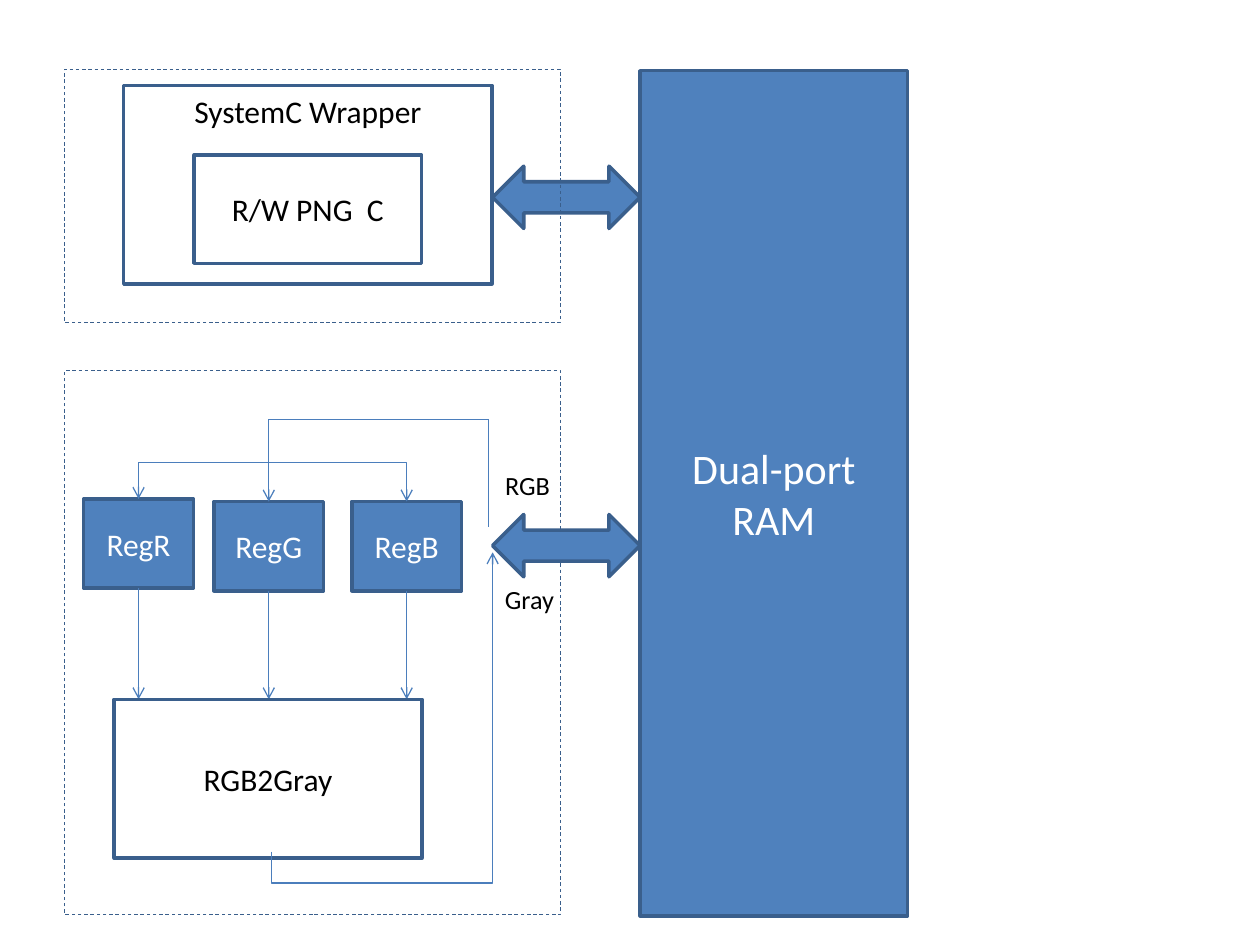
from pptx import Presentation
from pptx.dml.color import RGBColor
from pptx.enum.dml import MSO_LINE
from pptx.enum.shapes import MSO_CONNECTOR, MSO_SHAPE
from pptx.enum.text import MSO_ANCHOR, PP_ALIGN
from pptx.oxml.ns import qn
from pptx.util import Pt
from lxml.etree import SubElement

COLORS = {"block": "4F81BD", "border": "3A5F8C", "wire": "4B7EBC",
          "light": "FFFFFF", "dark": "000000"}


class Diagram:
    font = "Calibri"

    def __init__(self, slide):
        self.slide = slide

    def color(self, name):
        return RGBColor.from_string(COLORS[name])

    def set_text(self, frame, text, size, color, align):
        frame.text = text
        paragraph = frame.paragraphs[0]
        paragraph.alignment = align
        paragraph.font.name = self.font
        paragraph.font.size = Pt(size)
        paragraph.font.color.rgb = self.color(color)

    def block(self, left, top, width, height, text="", filled=False, size=18,
              anchor=MSO_ANCHOR.MIDDLE, kind=MSO_SHAPE.RECTANGLE):
        shape = self.slide.shapes.add_shape(
            kind, Pt(left), Pt(top), Pt(width), Pt(height))
        shape.shadow.inherit = False
        if filled:
            shape.fill.solid()
            shape.fill.fore_color.rgb = self.color("block")
        else:
            shape.fill.background()
        shape.line.color.rgb = self.color("border")
        shape.line.width = Pt(2)
        if text:
            shape.text_frame.vertical_anchor = anchor
            self.set_text(shape.text_frame, text, size,
                          "light" if filled else "dark", PP_ALIGN.CENTER)
        return shape

    def group_frame(self, left, top, width, height):
        frame = self.block(left, top, width, height)
        frame.line.width = Pt(0.5)
        frame.line.dash_style = MSO_LINE.DASH

    def bus(self, left, top, width, height):
        self.block(left, top, width, height, filled=True,
                   kind=MSO_SHAPE.LEFT_RIGHT_ARROW)

    def label(self, left, top, width, height, text):
        box = self.slide.shapes.add_textbox(
            Pt(left), Pt(top), Pt(width), Pt(height))
        box.text_frame.word_wrap = False
        self.set_text(box.text_frame, text, 15, "dark", PP_ALIGN.LEFT)

    def wire(self, x1, y1, x2, y2, arrow=True, preset="line"):
        connector = self.slide.shapes.add_connector(
            MSO_CONNECTOR.STRAIGHT, Pt(x1), Pt(y1), Pt(x2), Pt(y2))
        connector.line.color.rgb = self.color("wire")
        connector.line.width = Pt(0.75)
        properties = connector._element.spPr
        properties.find(qn("a:prstGeom")).set("prst", preset)
        if arrow:
            SubElement(properties.find(qn("a:ln")), qn("a:tailEnd"), type="arrow")
        SubElement(properties, qn("a:effectLst"))
        return connector

    def corner(self, x1, y1, x2, y2):
        self.wire(x1, y1, x2, y2, preset="bentConnector2")

    def loop_up(self, x1, y1, x2, y2, overshoot):
        center_x, center_y = (x1 + x2) / 2, (y1 + y2) / 2
        half_run, half_rise = (x2 - x1) / 2, (y1 - y2) / 2
        connector = self.wire(center_x - half_rise, center_y - half_run,
                              center_x + half_rise, center_y + half_run,
                              preset="bentConnector3")
        properties = connector._element.spPr
        properties.find(qn("a:xfrm")).set("rot", str(270 * 60000))
        geometry = properties.find(qn("a:prstGeom"))
        guides = geometry.find(qn("a:avLst"))
        if guides is None:
            guides = SubElement(geometry, qn("a:avLst"))
        ratio = round(-overshoot / (y1 - y2) * 100000)
        SubElement(guides, qn("a:gd"), name="adj1", fmla=f"val {ratio}")


presentation = Presentation()
presentation.slide_width = Pt(720)
presentation.slide_height = Pt(540)
diagram = Diagram(presentation.slides.add_slide(presentation.slide_layouts[6]))

REG_WIDTH, REG_HEIGHT = 62.8, 51
GRAY_TOP = 399.6
PORT_X, RAM_X = 281.5, 365.8
SPLIT_X, SPLIT_Y = 153.6, 264.2
FEED_X, FEED_Y = 279.2, 239.8
registers = [("RegR", 79.2, 285.1), ("RegB", 232.4, 286.6), ("RegG", SPLIT_X, 286.6)]

for name, center, top in registers:
    diagram.block(center - REG_WIDTH / 2, top, REG_WIDTH, REG_HEIGHT, name, filled=True)
    diagram.wire(center, top + REG_HEIGHT, center, GRAY_TOP)
    if center != SPLIT_X:
        diagram.corner(SPLIT_X, SPLIT_Y, center, top)
diagram.block(65.3, GRAY_TOP, 175.8, 90.8, "RGB2Gray")

diagram.group_frame(36.9, 211.7, 283.5, 311)
diagram.corner(FEED_X, FEED_Y, SPLIT_X, 286.6)
diagram.wire(FEED_X, FEED_Y, FEED_X, 301, arrow=False)
for bus_top in (294, 95):
    diagram.bus(PORT_X, bus_top, RAM_X - PORT_X, 35.6)
diagram.loop_up(155, 486.7, PORT_X, 315.6, 18)

diagram.group_frame(36.9, 39.6, 283.5, 144.7)
diagram.block(RAM_X, 40.4, 152.9, 483, "Dual-port RAM", filled=True, size=24)
diagram.block(70.7, 48.9, 210.5, 113.3, "SystemC Wrapper", anchor=MSO_ANCHOR.TOP)
diagram.block(111, 88.5, 129.8, 62, "R/W PNG  C")
diagram.label(PORT_X, 264.4, 42.5, 25.2, "RGB")
diagram.label(PORT_X, 330, 50.4, 25.2, "Gray")

presentation.save("out.pptx")
